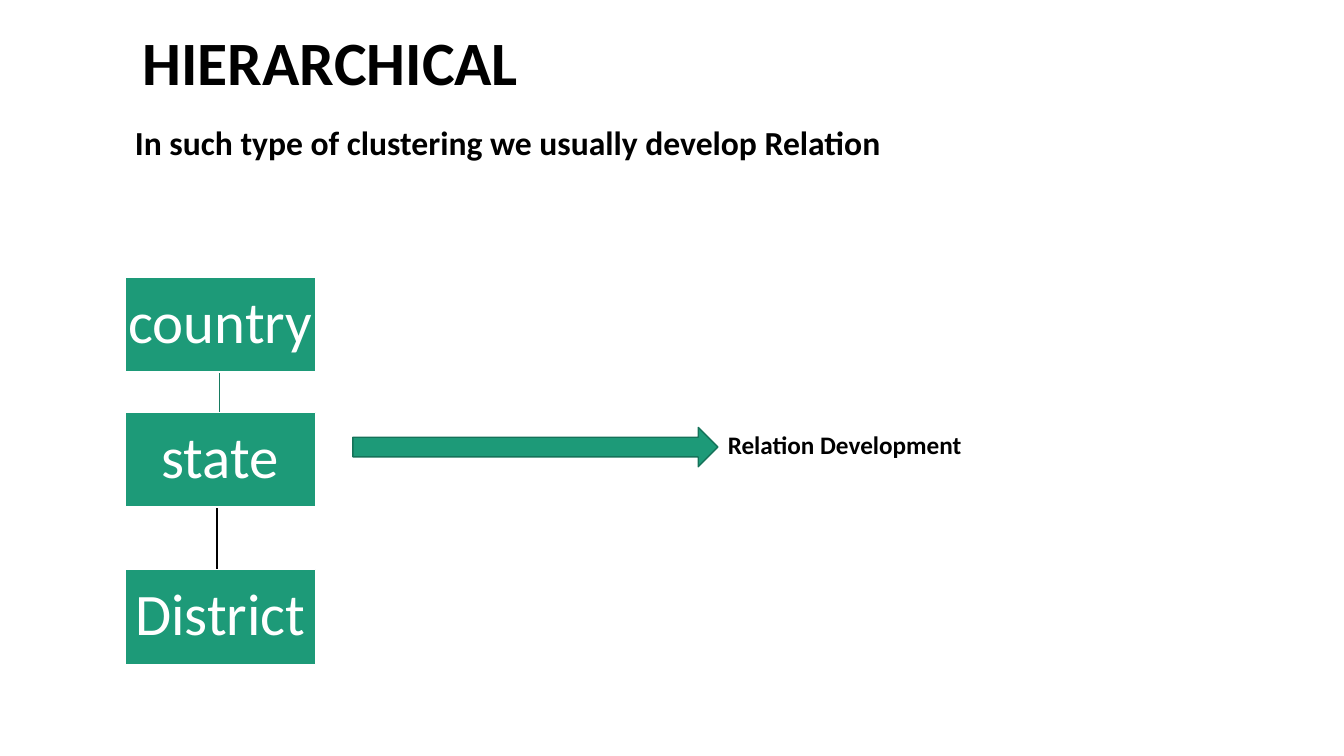
from pptx import Presentation
from pptx.dml.color import RGBColor
from pptx.enum.shapes import MSO_CONNECTOR as Link, MSO_SHAPE as Shape
from pptx.enum.text import MSO_ANCHOR as Anchor, PP_ALIGN as Align
from pptx.oxml.ns import qn
from pptx.util import Pt
from lxml import etree

PX = 9144
BLACK = RGBColor(0x00, 0x00, 0x00)
WHITE = RGBColor(0xFF, 0xFF, 0xFF)
GREEN = RGBColor(0x1D, 0x9A, 0x78)
STEM = RGBColor(0x17, 0x7B, 0x60)
EDGE = RGBColor(0x15, 0x72, 0x59)


def write(frame, text, size, color, bold, align):
    frame.text = text
    para = frame.paragraphs[0]
    para.alignment = align
    font = para.runs[0].font
    font.name = "Calibri"
    font.size = Pt(size)
    font.bold = bold
    font.color.rgb = color
    return para


def block(kind, left, top, width, height, edge):
    shape = slide.shapes.add_shape(kind, left * PX, top * PX, width * PX, height * PX)
    shape.shadow.inherit = False
    shape.fill.solid()
    shape.fill.fore_color.rgb = GREEN
    shape.line.color.rgb = edge
    shape.line.width = Pt(1)
    return shape


deck = Presentation()
deck.slide_width = 1333 * PX
deck.slide_height = 750 * PX
slide = deck.slides.add_slide(deck.slide_layouts[6])

for text, left, top, width, height, size, align, wrap in [
    ("HIERARCHICAL", 15, 19, 626, 158, 44, Align.CENTER, True),
    ("In such type of clustering we usually develop Relation",
     124, 116, 767, 50, 24, Align.LEFT, False),
    ("Relation Development", 712, 421, 254, 40, 18, Align.LEFT, False),
]:
    box = slide.shapes.add_textbox(left * PX, top * PX, width * PX, height * PX)
    box.text_frame.word_wrap = wrap
    write(box.text_frame, text, size, BLACK, True, align)

for x, top, end, color, width in [
    (218, 369, 409, STEM, 1),
    (215, 504, 572, BLACK, 1.5),
]:
    line = slide.shapes.add_connector(Link.STRAIGHT, x * PX, top * PX, x * PX, end * PX)
    line.line.color.rgb = color
    line.line.width = Pt(width)
    etree.SubElement(line._element.spPr, qn("a:effectLst"))

for text, top in [("country", 275), ("state", 409), ("District", 565)]:
    level = block(Shape.RECTANGLE, 124, top, 189, 94, WHITE)
    frame = level.text_frame
    frame.word_wrap = True
    frame.vertical_anchor = Anchor.MIDDLE
    frame.margin_left = frame.margin_right = 3 * PX
    frame.margin_top = frame.margin_bottom = 3 * PX
    para = write(frame, text, 42, WHITE, False, Align.CENTER)
    para.line_spacing = 0.9

block(Shape.RIGHT_ARROW, 350, 424, 362, 39, EDGE)

deck.save("out.pptx")
